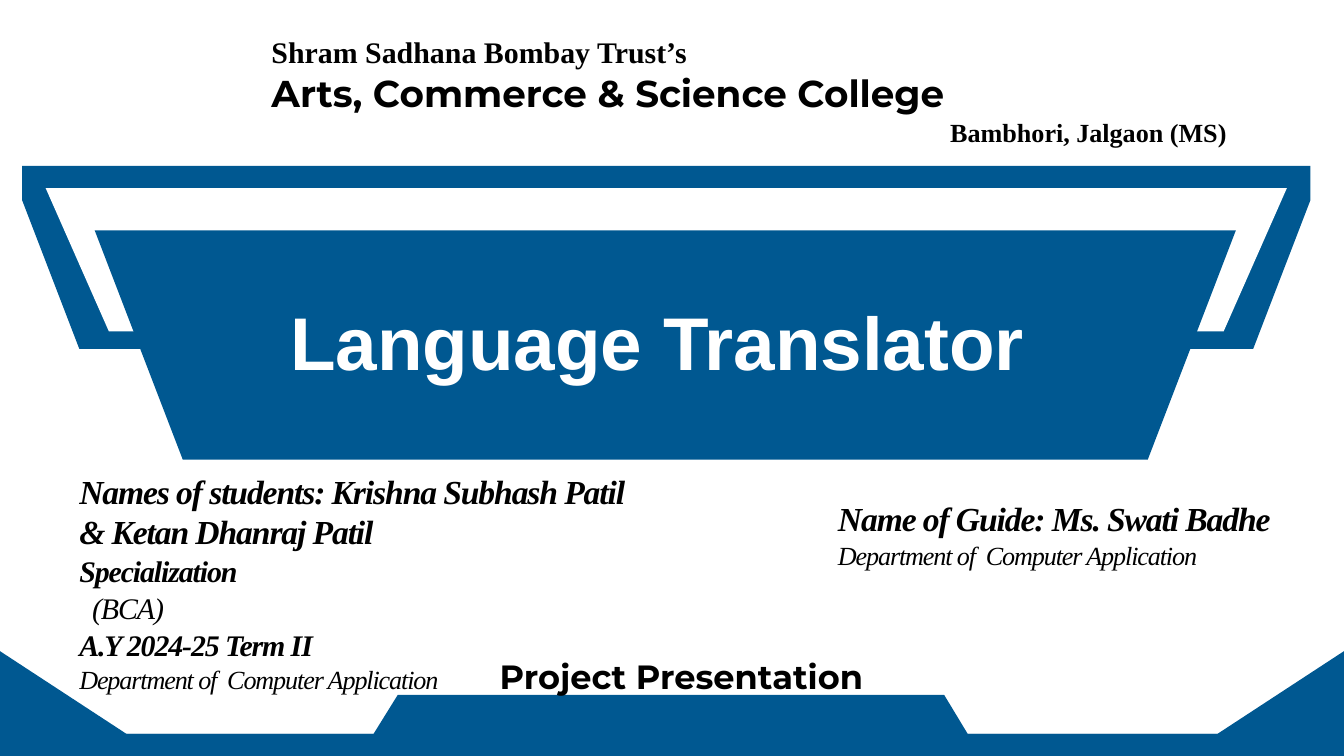
from dataclasses import dataclass

from pptx import Presentation
from pptx.dml.color import RGBColor
from pptx.enum.text import MSO_AUTO_SIZE, PP_ALIGN
from pptx.util import Inches, Pt

LEFT, CENTER, RIGHT = PP_ALIGN.LEFT, PP_ALIGN.CENTER, PP_ALIGN.RIGHT
GROW = MSO_AUTO_SIZE.SHAPE_TO_FIT_TEXT


@dataclass(frozen=True)
class Theme:
    blue: str = "005891"
    white: str = "FFFFFF"
    black: str = "000000"
    serif: str = "Times New Roman"
    display: str = "Montserrat"
    sans: str = "Arial"
    title: int = 80
    college: int = 40
    lead: int = 36
    body: int = 32
    small: int = 28
    tracking: int = -120


@dataclass(frozen=True)
class Line:
    text: str
    size: int
    font: str = Theme.serif
    color: str = Theme.black
    bold: bool = True
    italic: bool = False
    align: int = LEFT
    indent: float = 0.01
    before: float = 1
    spacing: float = 1.0


def mirrored(left_half, span):
    return left_half + [(round(span - x, 2), y) for x, y in reversed(left_half)]


class SlideBuilder:
    def __init__(self, page, theme):
        self.page = page
        self.theme = theme

    def outline(self, points, color, shapes=None):
        corners = [(Inches(x), Inches(y)) for x, y in points]
        builder = (shapes or self.page.shapes).build_freeform(*corners[0])
        builder.add_line_segments(corners[1:], close=True)
        shape = builder.convert_to_shape()
        shape.shadow.inherit = False
        shape.fill.solid()
        shape.fill.fore_color.rgb = RGBColor.from_string(color)
        shape.line.fill.background()

    def panel(self, layers):
        group = self.page.shapes.add_group_shape()
        for points, color in layers:
            self.outline(points, color, group.shapes)

    def text(self, left, top, width, height, lines, inset=True):
        box = self.page.shapes.add_textbox(*map(Inches, (left, top, width, height)))
        frame = box.text_frame
        frame.word_wrap = True
        frame.auto_size = GROW
        if not inset:
            frame.margin_left = frame.margin_right = frame.margin_bottom = 0
            frame.margin_top = Inches(0.01)
        frame.text = "\n".join(line.text for line in lines)
        for para, line in zip(frame.paragraphs, lines):
            self.format(para, line)

    def format(self, para, line):
        para.alignment = line.align
        para.space_before = Pt(line.before)
        para.line_spacing = line.spacing
        para._p.get_or_add_pPr().set("marL", str(Inches(line.indent)))
        span = para.runs[0]
        span.font.name = line.font
        span.font.size = Pt(line.size)
        span.font.bold = line.bold
        span.font.italic = line.italic
        span.font.color.rgb = RGBColor.from_string(line.color)
        if line.italic:
            span.font._element.set("spc", str(self.theme.tracking))


def main():
    theme = Theme()
    deck = Presentation()
    deck.slide_width, deck.slide_height = Inches(20), Inches(11.25)
    page = deck.slides.add_slide(deck.slide_layouts[6])
    slide = SlideBuilder(page, theme)

    frame = mirrored([(1.18, 5.19), (0.33, 2.98), (0.33, 2.47)], 19.83)
    gap = mirrored([(1.62, 4.93), (0.68, 2.8)], 19.83)
    banner = mirrored([(2.72, 6.84), (1.41, 3.43)], 19.8)
    slide.panel([(frame, theme.blue), (gap, theme.white), (banner, theme.blue)])

    tray = [(0, 11.25), (0, 10.92), (5.56, 10.92), (5.92, 10.34),
            (14.05, 10.34), (14.4, 10.92), (20, 10.92), (20, 11.25)]
    slide.outline(tray, theme.blue)
    slide.outline(mirrored([(0, 11.25), (0, 9.69), (1.88, 10.92)], 20), theme.blue)

    department = Line("Department of  Computer Application", theme.small,
                      bold=False, italic=True)
    slide.text(12.46, 7.4, 6.69, 1.11, [
        Line("Name of Guide: Ms. Swati Badhe", theme.lead, italic=True),
        department,
    ], inset=False)
    slide.text(2.67, 4.39, 14.22, 1.36, [
        Line("Language Translator", theme.title, theme.sans, theme.white, align=CENTER),
    ], inset=False)
    slide.text(4.03, 0.49, 14.22, 1.73, [
        Line("Shram Sadhana Bombay Trust’s", theme.body),
        Line("Arts, Commerce & Science College", theme.college, theme.display),
        Line("Bambhori, Jalgaon (MS)", theme.small, align=RIGHT),
    ], inset=False)
    slide.text(1.18, 9.41, 17.92, 0.91, [
        Line("Project Presentation", theme.lead, theme.display, align=CENTER,
             indent=0, before=0, spacing=1.5),
    ])
    slide.text(1.17, 7, 8.58, 3.37, [
        Line("Names of students: Krishna Subhash Patil & Ketan Dhanraj Patil",
             theme.lead, italic=True),
        Line("Specialization", theme.body, italic=True),
        Line("(BCA)", theme.body, bold=False, italic=True, indent=0.2),
        Line("A.Y 2024-25 Term II", theme.body, italic=True),
        department,
    ], inset=False)

    deck.save("out.pptx")


if __name__ == "__main__":
    main()
